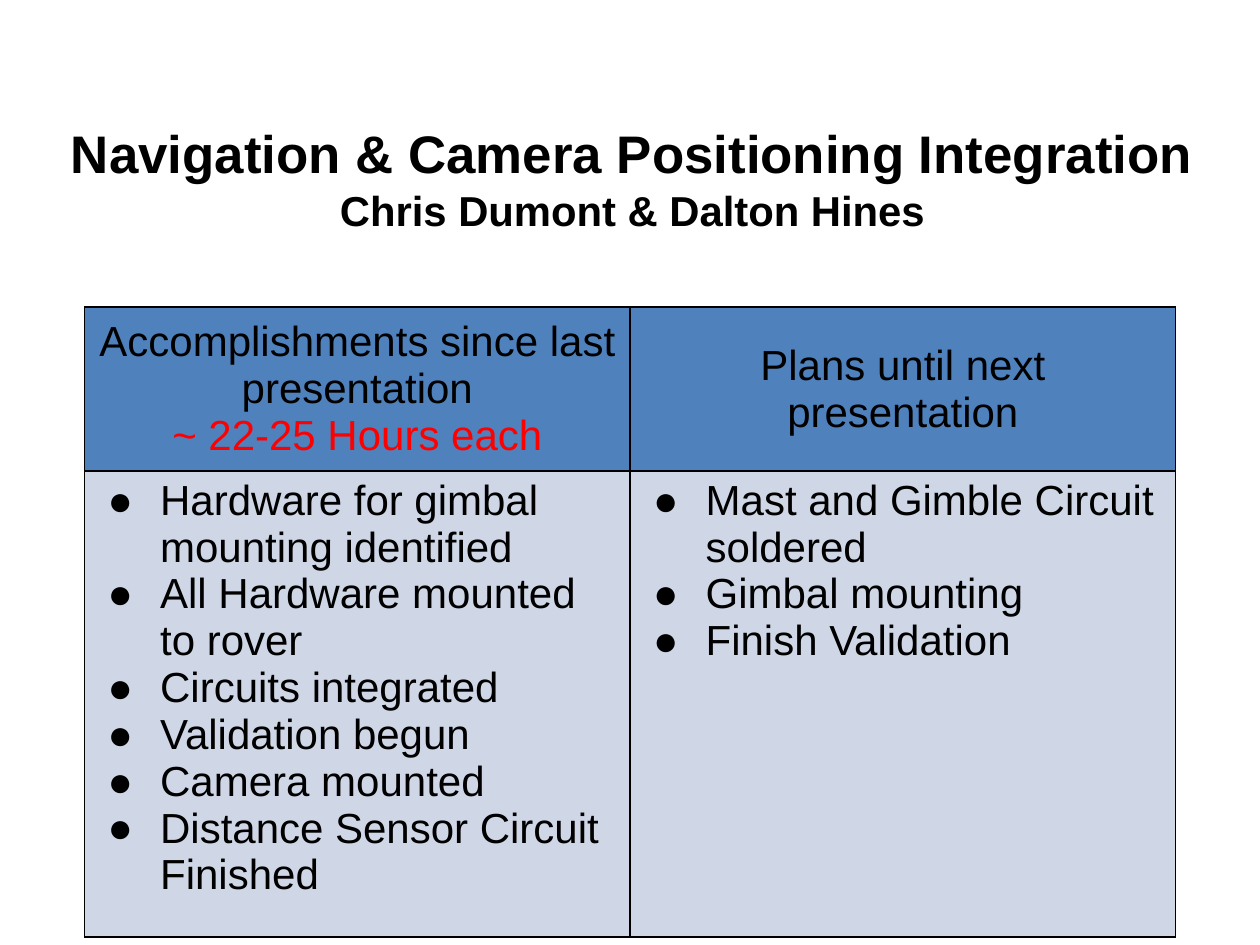
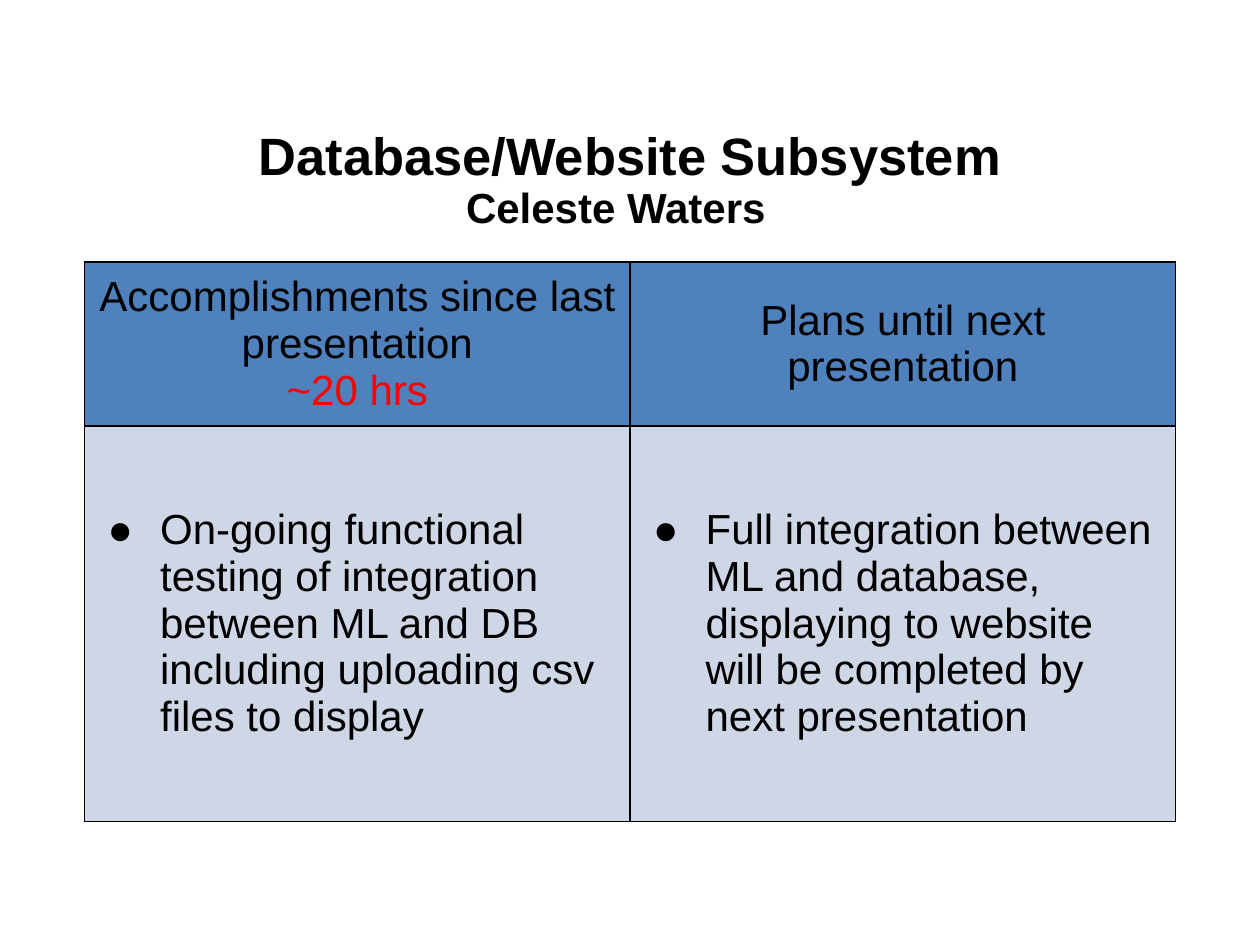
from lxml.etree import SubElement
from pptx import Presentation
from pptx.dml.color import RGBColor
from pptx.enum.text import MSO_ANCHOR, PP_ALIGN
from pptx.oxml.ns import qn
from pptx.util import Pt

BLACK = RGBColor(0x00, 0x00, 0x00)
RED = RGBColor(0xFF, 0x00, 0x00)
HEADER_BLUE = RGBColor(0x4F, 0x81, 0xBD)
BODY_BLUE = RGBColor(0xCF, 0xD7, 0xE7)

BODY_FONT = {"name": "Arial", "size": Pt(24), "bold": False}
TITLE_FONT = {"name": "Arial", "size": Pt(30), "bold": True}
NAME_FONT = {"name": "Arial", "size": Pt(24), "bold": True}

TABLE_LEFT, COLUMN_WIDTH, HEADER_HEIGHT = Pt(48.3), Pt(311.75), Pt(87.4)
BULLET_INDENT, BULLET_HANG = Pt(36), Pt(30)


def set_values(target, values):
    for name, value in values.items():
        setattr(target, name, value)


def write_paragraphs(tf, lines, align):
    """Write (text, font values, colour) lines, one paragraph each."""
    for i, (text, font, color) in enumerate(lines):
        p = tf.paragraphs[0] if i == 0 else tf.add_paragraph()
        p.alignment = align
        r = p.add_run()
        r.text = text
        set_values(r.font, font)
        r.font.color.rgb = color


def add_text(s, box, lines, align=PP_ALIGN.CENTER, anchor=MSO_ANCHOR.MIDDLE, inset=Pt(3.6)):
    tf = s.shapes.add_textbox(*box).text_frame
    set_values(tf, {"word_wrap": True, "vertical_anchor": anchor,
                    "margin_left": Pt(7.2), "margin_right": Pt(7.2),
                    "margin_top": inset, "margin_bottom": inset})
    write_paragraphs(tf, lines, align)


def add_bullets(tf):
    for p in tf.paragraphs:
        pPr = p._p.get_or_add_pPr()
        pPr.set("marL", str(BULLET_INDENT))
        pPr.set("indent", str(-BULLET_HANG))
        color = SubElement(pPr, qn("a:buClr"))
        SubElement(color, qn("a:srgbClr"), val=str(BLACK))
        SubElement(pPr, qn("a:buFont"), typeface="Arial")
        SubElement(pPr, qn("a:buChar"), char="●")


def style_cell(cell, color, anchor):
    tcPr = cell._tc.get_or_add_tcPr()
    for side in ("lnL", "lnR", "lnT", "lnB"):
        line = SubElement(tcPr, qn(f"a:{side}"), w=str(Pt(1)))
        fill = SubElement(line, qn("a:solidFill"))
        SubElement(fill, qn("a:srgbClr"), val=str(BLACK))
    cell.fill.solid()
    cell.fill.fore_color.rgb = color
    set_values(cell, {"vertical_anchor": anchor,
                      "margin_left": Pt(7.2), "margin_right": Pt(7.2),
                      "margin_top": Pt(3.6), "margin_bottom": Pt(3.6)})


def add_progress_table(s, top, body_height, hours, done, plans, body_anchor):
    """Two columns: work done with its hours, and plans."""
    table = s.shapes.add_table(2, 2, TABLE_LEFT, top, 2 * COLUMN_WIDTH,
                               HEADER_HEIGHT + body_height).table
    set_values(table, {"first_row": False, "horz_banding": False})
    table.rows[0].height, table.rows[1].height = HEADER_HEIGHT, body_height

    headers = ([("Accomplishments since last presentation", BODY_FONT, BLACK),
                (hours, BODY_FONT, RED)],
               [("Plans until next presentation", BODY_FONT, BLACK)])
    for col, (header, items) in enumerate(zip(headers, (done, plans))):
        table.columns[col].width = COLUMN_WIDTH
        # Header cell
        cell = table.cell(0, col)
        style_cell(cell, HEADER_BLUE, MSO_ANCHOR.MIDDLE)
        write_paragraphs(cell.text_frame, header, PP_ALIGN.CENTER)
        # Bulleted cell
        cell = table.cell(1, col)
        style_cell(cell, BODY_BLUE, body_anchor)
        write_paragraphs(cell.text_frame, [(item, BODY_FONT, BLACK) for item in items],
                         PP_ALIGN.LEFT)
        add_bullets(cell.text_frame)


def build_navigation_slide(s):
    add_text(s, (Pt(16.5), Pt(69.8), Pt(689.8), Pt(63.4)),
             [("Navigation & Camera Positioning Integration",
               {**TITLE_FONT, "size": Pt(30.2)}, BLACK),
              ("Chris Dumont & Dalton Hines", {**NAME_FONT, "size": Pt(23.9)}, BLACK)])
    add_progress_table(
        s, Pt(175.5), Pt(248), "~ 22-25 Hours each",
        ["Hardware for gimbal mounting identified", "All Hardware mounted to rover",
         "Circuits integrated", "Validation begun", "Camera mounted",
         "Distance Sensor Circuit Finished"],
        ["Mast and Gimble Circuit soldered", "Gimbal mounting", "Finish Validation"],
        MSO_ANCHOR.TOP)


def build_database_slide(s):
    add_text(s, (Pt(36), Pt(56.5), Pt(648), Pt(63.4)),
             [("Database/Website Subsystem", TITLE_FONT, BLACK)])
    add_progress_table(
        s, Pt(149.7), Pt(226), "~20 hrs",
        ["On-going functional testing of integration between ML and DB "
         "including uploading csv files to display"],
        ["Full integration between ML and database, displaying to website "
         "will be completed by next presentation"],
        MSO_ANCHOR.MIDDLE)
    add_text(s, (Pt(259.2), Pt(96.5), Pt(200.9), Pt(43.9)),
             [("Celeste Waters", NAME_FONT, BLACK)],
             PP_ALIGN.LEFT, MSO_ANCHOR.TOP, Pt(7.2))


def main():
    prs = Presentation()
    prs.slide_width, prs.slide_height = Pt(720), Pt(540)
    for build in (build_navigation_slide, build_database_slide):
        build(prs.slides.add_slide(prs.slide_layouts[6]))
    prs.save("out.pptx")


if __name__ == "__main__":
    main()
